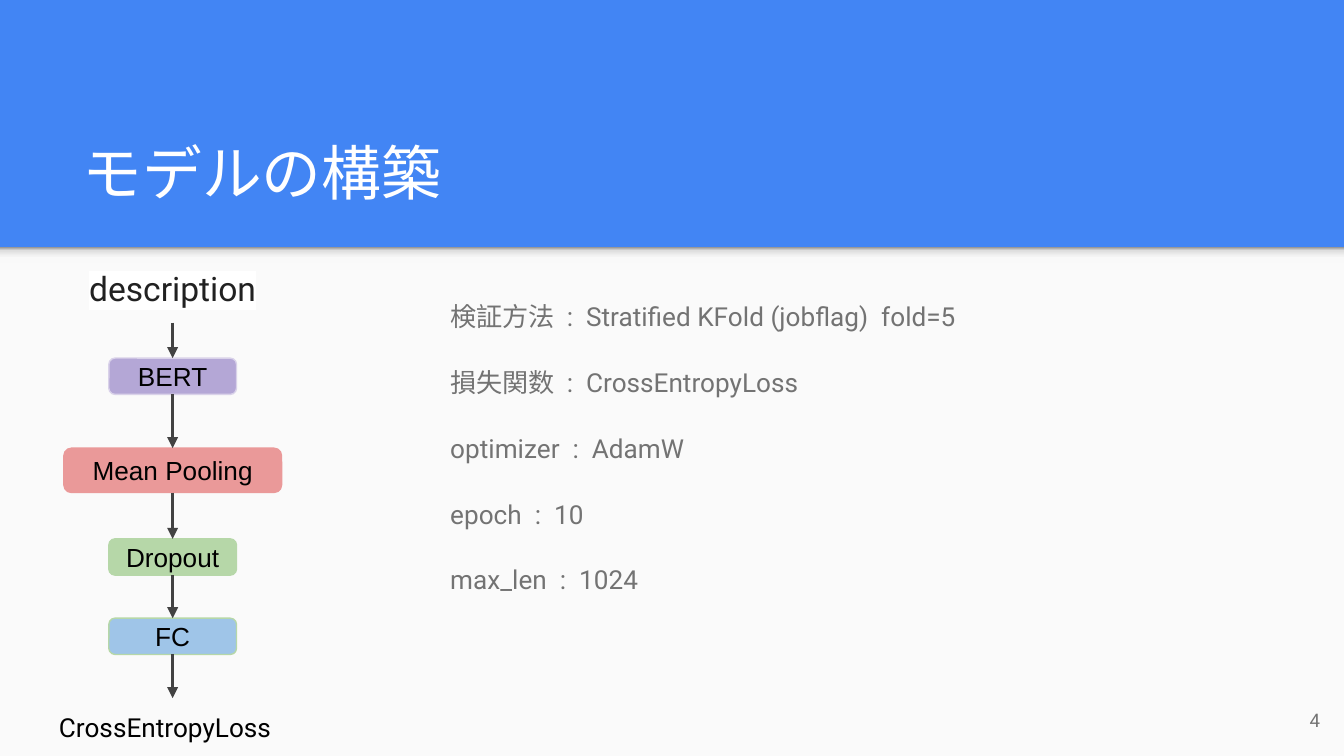
from itertools import pairwise
from lxml import etree
from pptx import Presentation
from pptx.dml.color import RGBColor
from pptx.enum.shapes import MSO_CONNECTOR, MSO_SHAPE
from pptx.enum.text import MSO_ANCHOR, MSO_AUTO_SIZE, PP_ALIGN
from pptx.oxml.ns import qn
from pptx.util import Pt

PX = 4572
RECT, ROUND = MSO_SHAPE.RECTANGLE, MSO_SHAPE.ROUNDED_RECTANGLE
STRAIGHT = MSO_CONNECTOR.STRAIGHT
TOP, MIDDLE, BOTTOM = MSO_ANCHOR.TOP, MSO_ANCHOR.MIDDLE, MSO_ANCHOR.BOTTOM
LEFT, CENTER, RIGHT = PP_ALIGN.LEFT, PP_ALIGN.CENTER, PP_ALIGN.RIGHT
NO_FIT = MSO_AUTO_SIZE.NONE
SITE_TOP, SITE_BOTTOM = 0, 2

COLORS = {
    "header": "4285F4", "panel": "FAFAFA", "white": "FFFFFF",
    "black": "000000", "dark": "212121", "gray": "737373", "arrow": "424242",
    "purple": "B4A7D6", "lilac": "D9D2E9", "red": "EA9999",
    "green": "B6D7A8", "blue": "9FC5E8",
    "shade_light": "F9F9F9", "shade_mid": "DEDEDE", "shade_dark": "999999",
}
SHADE = [(0, "shade_light"), (36, "shade_light"), (80, "shade_mid"), (100, "shade_dark")]
SETTINGS = [
    "検証方法  :  Stratified KFold (jobflag)  fold=5",
    "損失関数  :  CrossEntropyLoss",
    "optimizer  :  AdamW",
    "epoch  :  10",
    "max_len  :  1024",
]
LAYERS = [
    ("BERT", 154, 190, 54, "purple", "lilac"),
    ("Mean Pooling", 288, 324, 66, "red", "red"),
    ("Dropout", 423, 190, 54, "green", "green"),
    ("FC", 541, 190, 54, "blue", "green"),
]


def rgb(name):
    return RGBColor.from_string(COLORS[name])


def emu(*lengths):
    return [int(n * PX) for n in lengths]


def place(sp, box):
    sp.left, sp.top, sp.width, sp.height = emu(*box)


def write(sp, lines, size, color, font="Roboto", align=LEFT, anchor=TOP):
    tf = sp.text_frame
    tf.word_wrap = True
    tf.auto_size = NO_FIT
    tf.vertical_anchor = anchor
    tf.margin_left = tf.margin_top = tf.margin_right = tf.margin_bottom = 20 * PX
    for i, line in enumerate(lines):
        p = tf.add_paragraph() if i else tf.paragraphs[0]
        p.alignment = align
        r = p.add_run()
        r.text = line
        r.font.size = Pt(size)
        r.font.color.rgb = rgb(color)
        r.font.name = font
    return tf


def add_label(s, box, text, size, color, **style):
    sp = s.shapes.add_textbox(*emu(*box))
    write(sp, [text], size, color, **style)
    return sp


def add_box(s, kind, box):
    sp = s.shapes.add_shape(kind, *emu(*box))
    sp.shadow.inherit = False
    sp.line.fill.background()
    return sp


def highlight(sp, color):
    fill = sp.text_frame.paragraphs[0].runs[0].font._element.find(qn("a:solidFill"))
    mark = etree.Element(qn("a:highlight"))
    etree.SubElement(mark, qn("a:srgbClr"), val=COLORS[color])
    fill.addnext(mark)


def add_arrow(s, start, end):
    cx = s.shapes.add_connector(STRAIGHT, 0, 0, 0, 0)
    cx.begin_connect(start, SITE_BOTTOM)
    cx.end_connect(end, SITE_TOP)
    cx.line.color.rgb = rgb("arrow")
    cx.line.width = Pt(1.5)
    etree.SubElement(cx.line._get_or_add_ln(), qn("a:tailEnd"), type="triangle")
    etree.SubElement(cx._element.spPr, qn("a:effectLst"))


def add_panel(s, box):
    x, y, w, h = box
    panel = add_box(s, RECT, box)
    panel.fill.solid()
    panel.fill.fore_color.rgb = rgb("panel")
    shade = add_box(s, RECT, (x, y, w, 24))
    shade.fill.gradient()
    shade.fill.gradient_angle = 90
    stops = shade._element.spPr.find(".//" + qn("a:gsLst"))
    for stop in list(stops):
        stops.remove(stop)
    for pos, color in SHADE:
        stop = etree.SubElement(stops, qn("a:gs"), pos=str(pos * 1000))
        etree.SubElement(stop, qn("a:srgbClr"), val=COLORS[color])
    first = s.shapes.title._element
    for sp in (panel, shade):
        first.addprevious(sp._element)


def add_title(s, box):
    sp = s.shapes.title
    place(sp, box)
    write(sp, ["モデルの構築"], 32, "white", anchor=BOTTOM)


def add_settings(s, box):
    sp = s.placeholders[1]
    place(sp, box)
    tf = write(sp, SETTINGS, 14, "gray")
    for i, p in enumerate(tf.paragraphs):
        p.line_spacing = 1.15
        p.space_before = Pt(16 if i else 0)
        pPr = p._p.get_or_add_pPr()
        pPr.set("marL", "0")
        pPr.set("indent", "0")
        etree.SubElement(pPr, qn("a:buNone"))


def add_model(s, box):
    x, y, w, h = box
    mid = x + w / 2
    source = add_label(s, (mid - 154, y, 308, 101), "description", 18, "dark",
                       align=CENTER)
    highlight(source, "white")
    steps = [source]
    for text, top, width, height, fill, line in LAYERS:
        sp = add_box(s, ROUND, (mid - width / 2, y + top, width, height))
        sp.adjustments[0] = 0.17
        sp.fill.solid()
        sp.fill.fore_color.rgb = rgb(fill)
        sp.line.color.rgb = rgb(line)
        sp.line.width = Pt(0.75)
        write(sp, [text], 14, "black", font="Arial", align=CENTER, anchor=MIDDLE)
        steps.append(sp)
    steps.append(add_label(s, (x, y + h - 86, w, 86), "CrossEntropyLoss", 14, "black"))
    for start, end in pairwise(steps):
        add_arrow(s, start, end)


def main():
    prs = Presentation()
    prs.slide_width, prs.slide_height = emu(2000, 1125)
    s = prs.slides.add_slide(prs.slide_layouts[1])
    s.background.fill.solid()
    s.background.fill.fore_color.rgb = rgb("header")
    add_panel(s, (0, 368, 2000, 757))
    add_title(s, (103, 161, 1798, 168))
    add_settings(s, (650, 420, 1252, 554))
    add_model(s, (68, 379, 378, 746))
    add_label(s, (1864, 1028, 120, 86), "4", 10, "gray", align=RIGHT, anchor=MIDDLE)
    prs.save("out.pptx")


if __name__ == "__main__":
    main()
